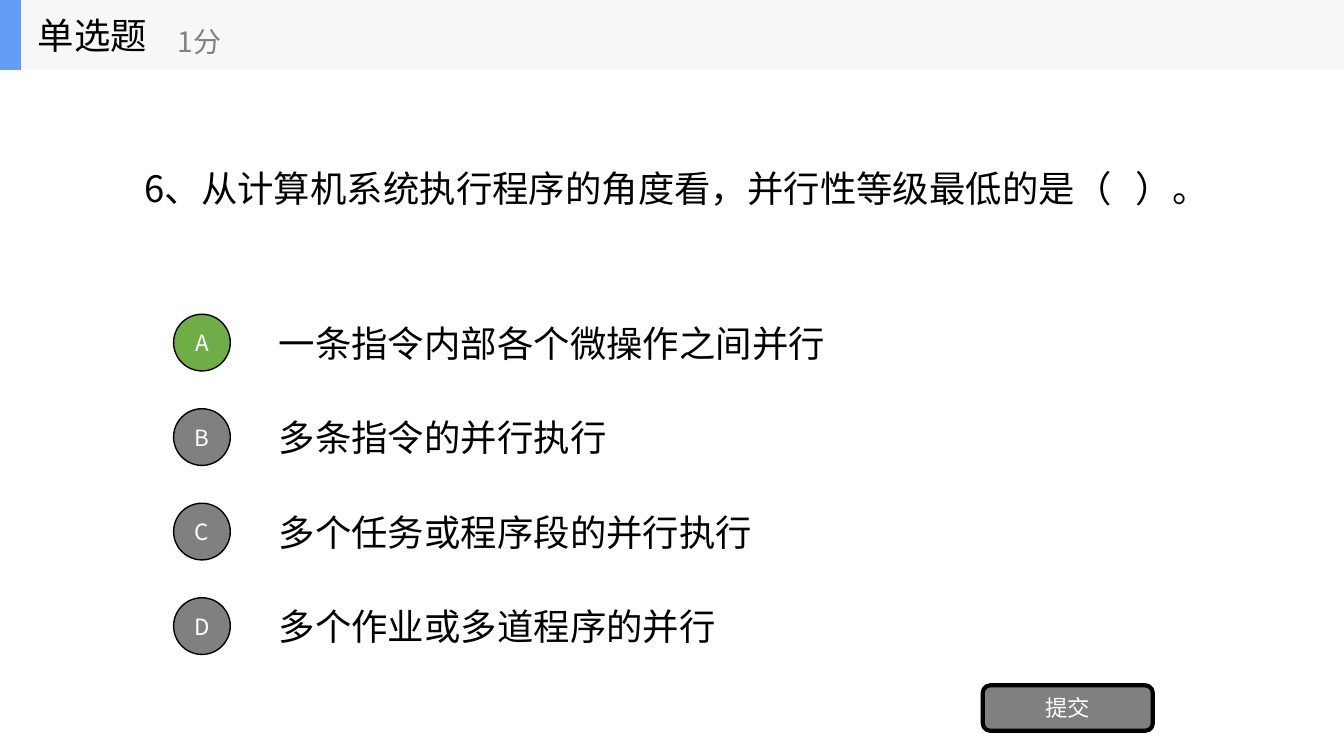
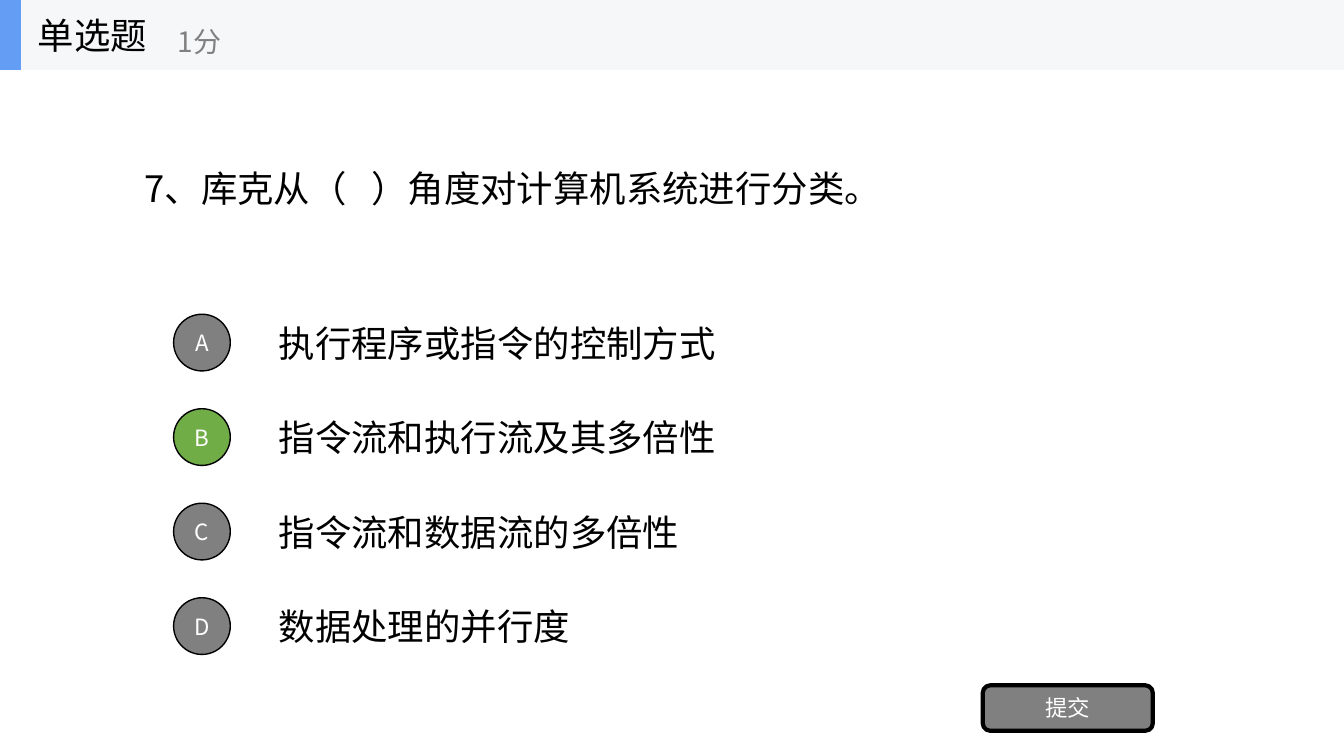
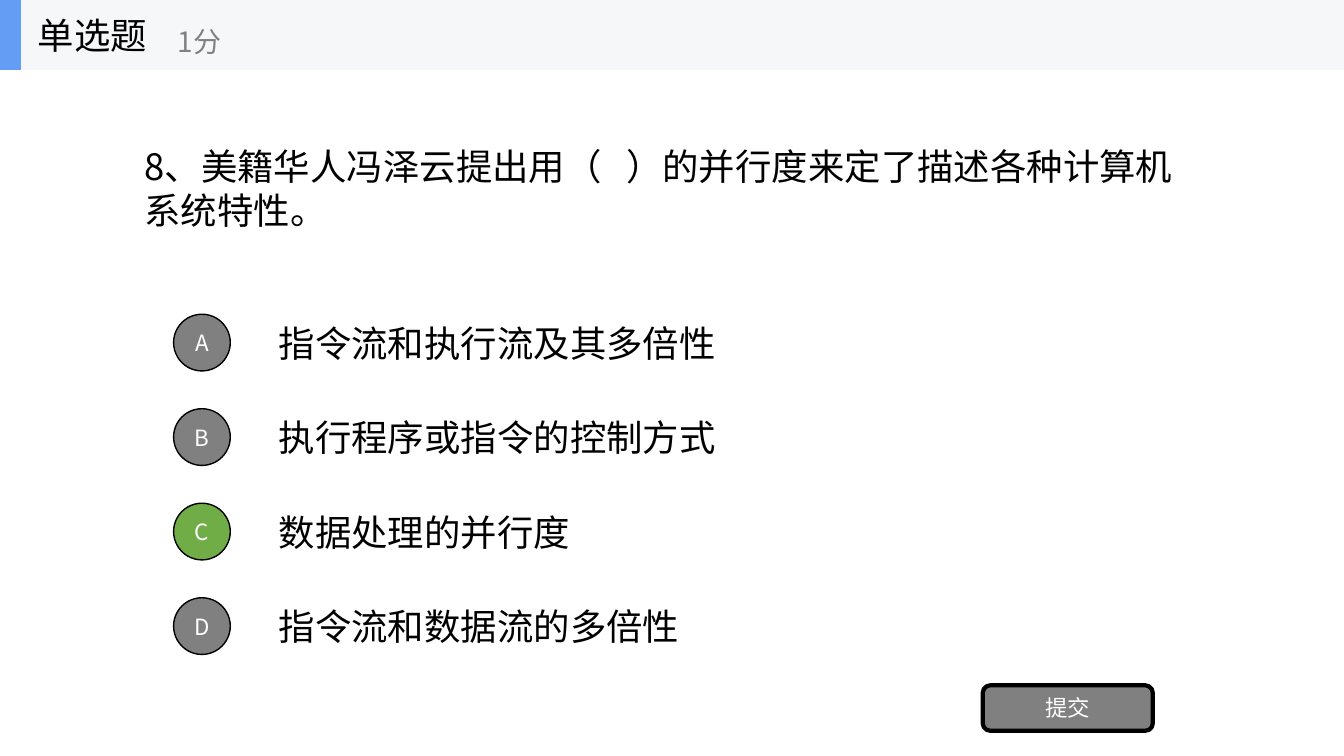
from dataclasses import dataclass

from lxml.etree import SubElement
from pptx import Presentation
from pptx.dml.color import RGBColor as Rgb
from pptx.enum.shapes import MSO_SHAPE as Kind
from pptx.enum.text import MSO_ANCHOR as Anchor, MSO_AUTO_SIZE as Fit, PP_ALIGN as Align
from pptx.oxml.ns import qn
from pptx.util import Pt


@dataclass(frozen=True)
class Theme:
    font: str = "Noto Sans CJK SC"
    ink: str = "000000"
    gray: str = "808080"
    white: str = "FFFFFF"
    green: str = "70AD47"
    blue: str = "639EF4"
    band: str = "F6F7F8"
    body: int = 26
    note: int = 20
    label: int = 16


WIDTH, HEIGHT = 960, 540
BAND = 50
ROW_TOP, ROW_STEP, ROW = 219.38, 67.5, 50.63
DOT = 40.5

QUIZ = [
    ("6、从计算机系统执行程序的角度看，并行性等级最低的是（   ）。", "A",
     ["一条指令内部各个微操作之间并行", "多条指令的并行执行",
      "多个任务或程序段的并行执行", "多个作业或多道程序的并行"]),
    ("7、库克从（   ）角度对计算机系统进行分类。", "B",
     ["执行程序或指令的控制方式", "指令流和执行流及其多倍性",
      "指令流和数据流的多倍性", "数据处理的并行度"]),
    ("8、美籍华人冯泽云提出用（   ）的并行度来定了描述各种计算机系统特性。", "C",
     ["指令流和执行流及其多倍性", "执行程序或指令的控制方式",
      "数据处理的并行度", "指令流和数据流的多倍性"]),
]


class Deck:
    def __init__(self, theme):
        self.theme = theme
        self.prs = Presentation()
        self.prs.slide_width, self.prs.slide_height = Pt(WIDTH), Pt(HEIGHT)
        self.slide = None

    def set_text(self, shape, text, size, color, align=Align.LEFT):
        frame = shape.text_frame
        frame.text = text
        frame.word_wrap = True
        frame.auto_size = Fit.NONE
        frame.vertical_anchor = Anchor.MIDDLE
        para = frame.paragraphs[0]
        para.alignment = align
        font = para.font
        font.size = Pt(size)
        font.color.rgb = Rgb.from_string(color)
        font.name = self.theme.font
        # Chinese glyphs take the East Asian typeface
        props = para._p.get_or_add_pPr().find(qn("a:defRPr"))
        SubElement(props, qn("a:ea"), typeface=self.theme.font)

    def text(self, home, box, text, size, color):
        shape = home.add_textbox(*map(Pt, box))
        self.set_text(shape, text, size, color)

    def shape(self, home, kind, box, fill, line=0):
        """Add a filled shape; a line width of 0 means no outline."""
        shape = home.add_shape(kind, *map(Pt, box))
        shape.shadow.inherit = False
        shape.fill.solid()
        shape.fill.fore_color.rgb = Rgb.from_string(fill)
        if line:
            shape.line.color.rgb = Rgb.from_string(self.theme.ink)
            shape.line.width = Pt(line)
        else:
            shape.line.fill.background()
        return shape

    def button(self, kind, box, text, fill, line):
        shape = self.shape(self.slide.shapes, kind, box, fill, line)
        self.set_text(shape, text, self.theme.label, self.theme.white, Align.CENTER)

    def title(self, text):
        title = self.slide.shapes.title
        title.left, title.top, title.width, title.height = map(Pt, (96, BAND, 768, 168.5))
        self.set_text(title, text, self.theme.body, self.theme.ink)

    def header(self):
        look = self.theme
        home = self.slide.shapes.add_group_shape().shapes
        self.shape(home, Kind.RECTANGLE, (0, 0, WIDTH, BAND), look.band)
        self.shape(home, Kind.RECTANGLE, (0, 0, 15, BAND), look.blue)
        self.text(home, (20, 0, 150, BAND), "单选题", look.body, look.ink)
        self.text(home, (120, 9, 180, 40.5), "1分", look.note, look.gray)

    def choice(self, row, letter, text, right):
        look = self.theme
        top = ROW_TOP + row * ROW_STEP
        self.text(self.slide.shapes, (192, top, 672, ROW), text, look.body, look.ink)
        self.button(Kind.OVAL, (124, top + (ROW - DOT) / 2, DOT, DOT), letter,
                    look.green if right else look.gray, 1)

    def quiz(self, ask, key, choices):
        self.slide = self.prs.slides.add_slide(self.prs.slide_layouts[5])
        self.title(ask)
        self.header()
        for row, (letter, text) in enumerate(zip("ABCD", choices)):
            self.choice(row, letter, text, letter == key)
        self.button(Kind.ROUNDED_RECTANGLE, (702, 489.5, 121.5, 32.5), "提交",
                    self.theme.gray, 3)


def main():
    deck = Deck(Theme())
    for item in QUIZ:
        deck.quiz(*item)
    deck.prs.save("out.pptx")


if __name__ == "__main__":
    main()
